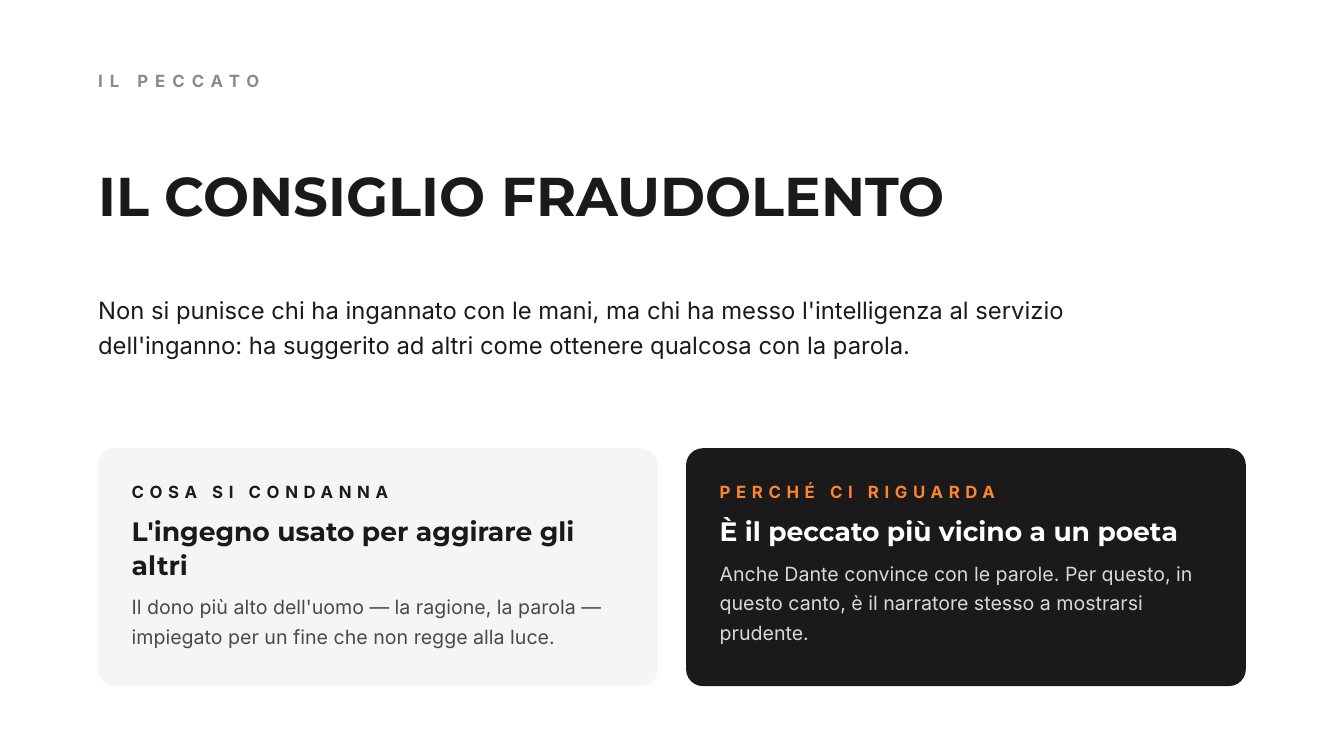
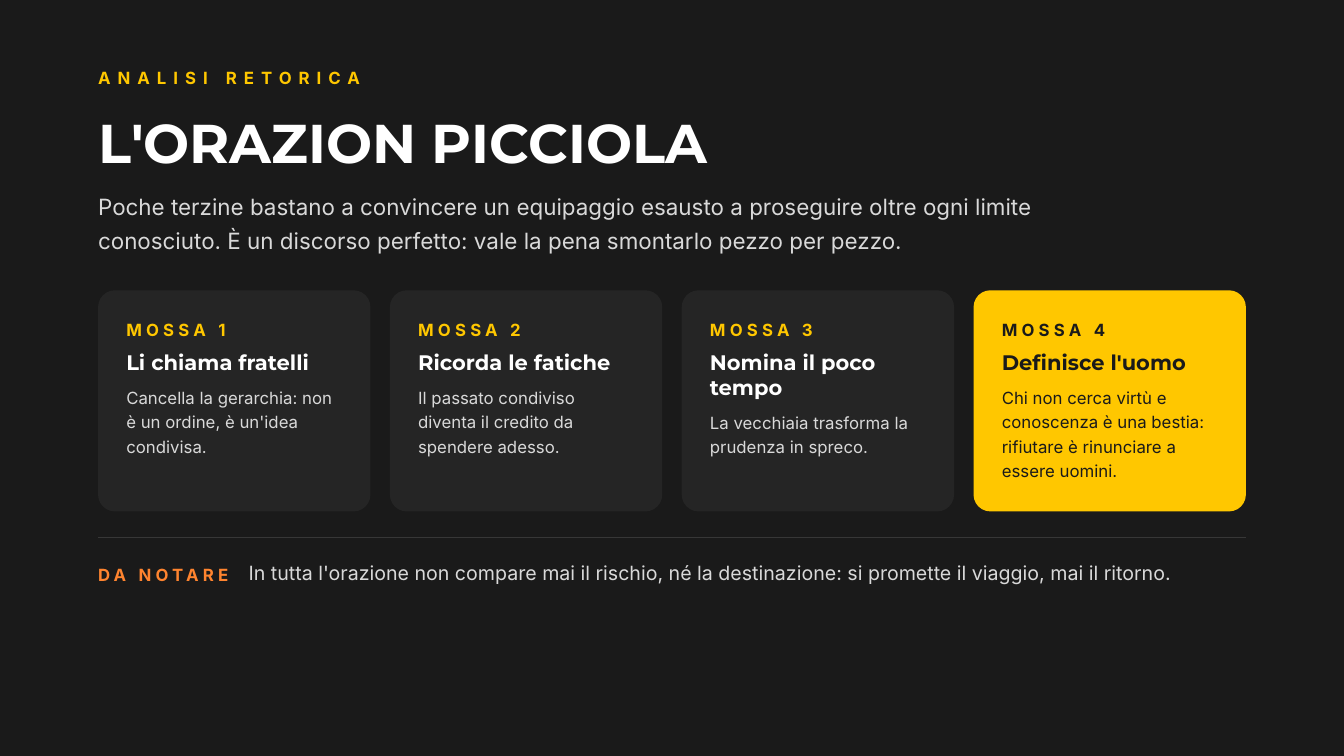
from dataclasses import dataclass, replace

from pptx import Presentation
from pptx.dml.color import RGBColor
from pptx.enum import shapes, text
from pptx.oxml.ns import qn
from pptx.util import Inches, Pt
from lxml import etree

INK, WHITE, PALE, GOLD, FLAME = "1A1A1A", "FFFFFF", "D9D9D9", "FFC700", "FF842F"
LEFT, WIDTH = 1.46, 17.08
RADIUS = 0.25


@dataclass(frozen=True)
class Style:
    face: str
    size: float
    lead: float
    bold: bool = False
    track: float = 0


@dataclass(frozen=True)
class Card:
    label: str
    head: str
    body: str
    fill: str
    tints: tuple[str, str, str]
    rows: int = 1


@dataclass(frozen=True)
class Grid:
    """Placement and text styles of a row of cards."""
    top: float
    height: float
    gap: float
    pad: float
    label_y: float
    head_y: float
    label: Style
    head: Style
    body: Style


TITLE = Style("Montserrat", 58.5, 58.5, True)
KICKER = Style("Inter", 18, 25.2, True, 7.5)
TAG = replace(KICKER, track=4.5)
NOTE = Style("Inter", 21, 29.4)

PAIR = Grid(6.67, 3.54, 0.42, 0.5, 0.45, 0.98, replace(KICKER, track=6),
            Style("Montserrat", 28.5, 35.6, True), Style("Inter", 21, 31.5))
MOVES = Grid(4.32, 3.29, 0.29, 0.42, 0.38, 0.88, TAG,
             Style("Montserrat", 22.5, 27, True), Style("Inter", 18, 26.1))

SINS = [
    Card("COSA SI CONDANNA", "L'ingegno usato per aggirare gli altri",
         "Il dono più alto dell'uomo — la ragione, la parola — "
         "impiegato per un fine che non regge alla luce.",
         "F5F5F5", (INK, INK, "4A4A4A"), rows=2),
    Card("PERCHÉ CI RIGUARDA", "È il peccato più vicino a un poeta",
         "Anche Dante convince con le parole. Per questo, in questo canto, "
         "è il narratore stesso a mostrarsi prudente.",
         INK, (FLAME, WHITE, PALE)),
]
DARK = ("252525", (GOLD, WHITE, PALE))
STEPS = [
    Card("MOSSA 1", "Li chiama fratelli",
         "Cancella la gerarchia: non è un ordine, è un'idea condivisa.", *DARK),
    Card("MOSSA 2", "Ricorda le fatiche",
         "Il passato condiviso diventa il credito da spendere adesso.", *DARK),
    Card("MOSSA 3", "Nomina il poco tempo",
         "La vecchiaia trasforma la prudenza in spreco.", *DARK, rows=2),
    Card("MOSSA 4", "Definisce l'uomo",
         "Chi non cerca virtù e conoscenza è una bestia: "
         "rifiutare è rinunciare a essere uomini.", GOLD, (INK, INK, INK)),
]


def paint(fill, tint: str) -> None:
    fill.solid()
    fill.fore_color.rgb = RGBColor.from_string(tint)


def write(shape, words: str, style: Style, tint: str) -> None:
    frame = shape.text_frame
    look = dict(word_wrap=True, auto_size=text.MSO_AUTO_SIZE.NONE,
                vertical_anchor=text.MSO_ANCHOR.TOP, margin_left=0,
                margin_right=0, margin_top=0, margin_bottom=0)
    for key, value in look.items():
        setattr(frame, key, value)
    para = frame.paragraphs[0]
    para.alignment = text.PP_ALIGN.LEFT
    para.line_spacing = Pt(style.lead)
    run = para.add_run()
    run.text = words
    for key, value in dict(name=style.face, size=Pt(style.size),
                           bold=style.bold).items():
        setattr(run.font, key, value)
    paint(run.font.fill, tint)
    if style.track:
        run._r.get_or_add_rPr().set("spc", str(round(style.track * 100)))


def label(slide, words: str, style: Style, tint: str, x: float, y: float,
          width: float, rows: int = 1) -> None:
    box = slide.shapes.add_textbox(Inches(x), Inches(y), Inches(width),
                                   Inches(rows * style.lead / 72))
    write(box, words, style, tint)


def start(deck, ground: str, kicker: tuple[str, str, float],
          title: tuple[str, str, float]):
    """Add a slide with its background, kicker and title."""
    slide = deck.slides.add_slide(deck.slide_layouts[5])
    paint(slide.background.fill, ground)
    words, tint, top = title
    head = slide.shapes.title
    head.left, head.top = Inches(LEFT), Inches(top)
    head.width, head.height = Inches(WIDTH), Inches(0.7)
    write(head, words, TITLE, tint)
    words, tint, top = kicker
    label(slide, words, KICKER, tint, LEFT, top, WIDTH)
    return slide


def draw(slide, cards: list[Card], grid: Grid) -> None:
    """Lay the cards out as equal columns across the text width."""
    width = (WIDTH - grid.gap * (len(cards) - 1)) / len(cards)
    for i, card in enumerate(cards):
        x = LEFT + i * (width + grid.gap)
        panel = slide.shapes.add_shape(
            shapes.MSO_SHAPE.ROUNDED_RECTANGLE, Inches(x), Inches(grid.top),
            Inches(width), Inches(grid.height))
        panel.adjustments[0] = RADIUS / min(width, grid.height)
        panel.shadow.inherit = False
        panel.line.fill.background()
        paint(panel.fill, card.fill)
        head_y = grid.top + grid.head_y
        body_y = head_y + card.rows * grid.head.lead / 72 + 0.13
        room = grid.top + grid.height - grid.label_y - body_y
        rows = int(room * 72 / grid.body.lead)
        parts = [
            (card.label, grid.label, grid.top + grid.label_y, 1),
            (card.head, grid.head, head_y, card.rows),
            (card.body, grid.body, body_y, rows),
        ]
        for (words, style, y, count), tint in zip(parts, card.tints):
            label(slide, words, style, tint, x + grid.pad, y,
                  width - 2 * grid.pad, count)


def rule(slide, y: float, tint: str) -> None:
    line = slide.shapes.add_connector(
        shapes.MSO_CONNECTOR.STRAIGHT, Inches(LEFT), Inches(y),
        Inches(LEFT + WIDTH), Inches(y))
    line.line.width = Pt(0.75)
    paint(line.line.fill, tint)
    etree.SubElement(line._element.spPr, qn("a:effectLst"))


def sin(deck) -> None:
    slide = start(deck, WHITE, ("IL PECCATO", "8A8A8A", 1),
                  ("IL CONSIGLIO FRAUDOLENTO", INK, 2.57))
    label(slide, "Non si punisce chi ha ingannato con le mani, ma chi ha messo "
          "l'intelligenza al servizio dell'inganno: ha suggerito ad altri come "
          "ottenere qualcosa con la parola.",
          Style("Inter", 25.5, 38.2), INK, LEFT, 4.29, 14.58, 2)
    draw(slide, SINS, PAIR)


def speech(deck) -> None:
    slide = start(deck, INK, ("ANALISI RETORICA", GOLD, 0.96),
                  ("L'ORAZION PICCIOLA", WHITE, 1.79))
    label(slide, "Poche terzine bastano a convincere un equipaggio esausto a "
          "proseguire oltre ogni limite conosciuto. È un discorso perfetto: "
          "vale la pena smontarlo pezzo per pezzo.",
          Style("Inter", 24, 36), PALE, LEFT, 2.78, 15, 2)
    draw(slide, STEPS, MOVES)
    rule(slide, 8, "373737")
    label(slide, "DA NOTARE", TAG, FLAME, LEFT, 8.35, 2.1)
    label(slide, "In tutta l'orazione non compare mai il rischio, né la "
          "destinazione: si promette il viaggio, mai il ritorno.",
          NOTE, PALE, 3.7, 8.29, 14)


def main() -> None:
    deck = Presentation()
    deck.slide_width, deck.slide_height = Inches(20), Inches(11.25)
    sin(deck)
    speech(deck)
    deck.save("out.pptx")


if __name__ == "__main__":
    main()
